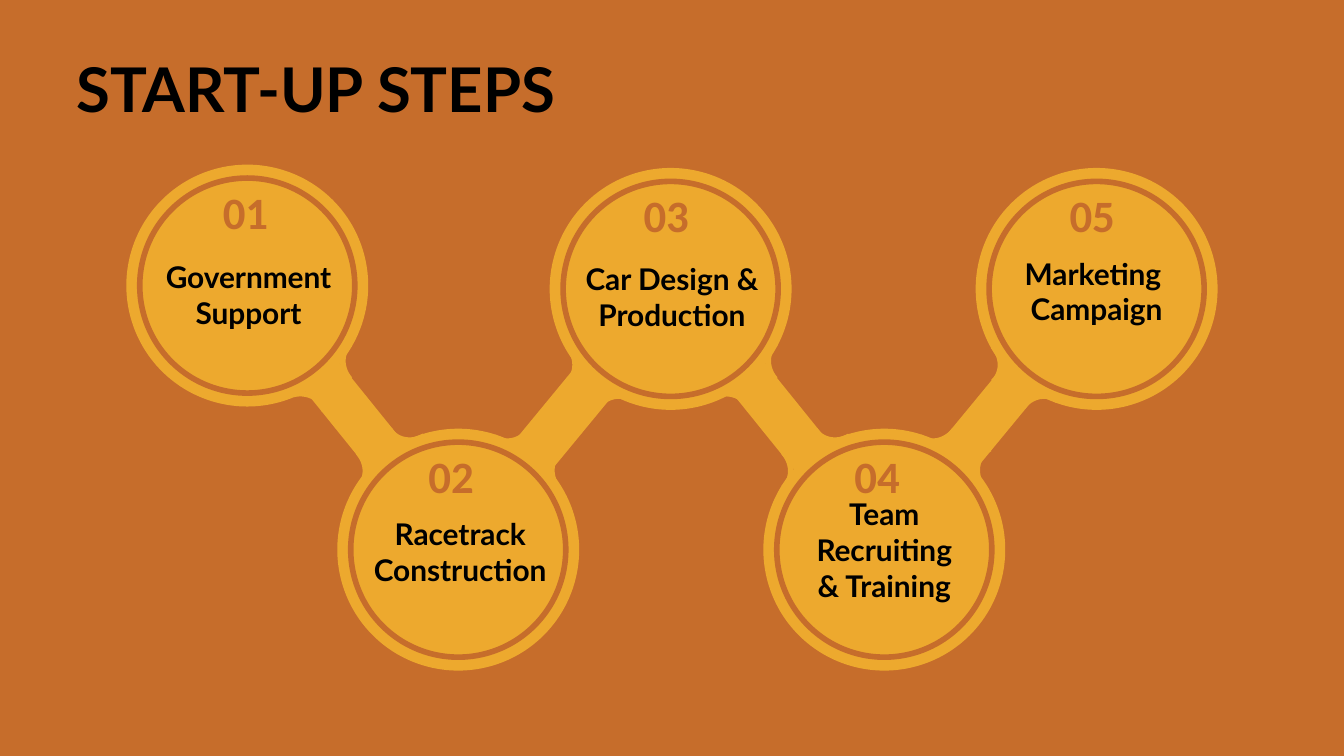
from pptx import Presentation
from pptx.dml.color import RGBColor
from pptx.enum.shapes import MSO_SHAPE as Shape
from pptx.enum.text import MSO_ANCHOR as Anchor, PP_ALIGN as Align
from pptx.util import Inches, Pt

RUST = RGBColor(0xC6, 0x6D, 0x2B)
GOLD = RGBColor(0xED, 0xA9, 0x2E)
BLACK = RGBColor(0, 0, 0)

# A 16:9 slide
presentation = Presentation()
presentation.slide_width = Inches(10)
presentation.slide_height = presentation.slide_width * 9 // 16
slide = presentation.slides.add_slide(presentation.slide_layouts[6])
slide.background.fill.solid()
slide.background.fill.fore_color.rgb = RUST

# Grid: 100 square cells across the slide
CELL = presentation.slide_width / 100
LINK_STEP = 31.65
CIRCLE, RING, RING_GAP = 18, 16, 1


def add_part(kind, box, fill=None, line=None, width=3, rotation=0):
    shape = slide.shapes.add_shape(kind, *(round(n * CELL) for n in box))
    shape.shadow.inherit = False
    shape.rotation = rotation
    if fill is None:
        shape.fill.background()
    else:
        shape.fill.solid()
        shape.fill.fore_color.rgb = fill
    if line is None:
        shape.line.fill.background()
    else:
        shape.line.color.rgb = line
        shape.line.width = Pt(width)
    return shape


def write_text(text, box=None, shape=None, font="Lato", size=16, color=BLACK,
               align=Align.CENTER, anchor=Anchor.TOP, spacing=None):
    if shape is None:
        shape = slide.shapes.add_textbox(*(round(n * CELL) for n in box))
    frame = shape.text_frame
    frame.word_wrap = True
    frame.vertical_anchor = anchor
    frame.text = text
    for paragraph in frame.paragraphs:
        paragraph.alignment = align
        paragraph.line_spacing = spacing
        for run in paragraph.runs:
            run.font.name = font
            run.font.size = Pt(size)
            run.font.bold = True
            run.font.color.rgb = color


# Title
write_text("START-UP STEPS", (4.7, 1.4, 86.2, 10.9), size=33,
           align=Align.LEFT, anchor=Anchor.MIDDLE, spacing=0.9)

# Links between circles: bar left and angle, then left, top and angle of each rounded corner
down_link = (24.8, 321.1, [(20.3, 29.3, 345.9), (25.4, 25.3, 228.6),
                           (23.4, 33.1, 48.5), (28.7, 29.2, 149.1)])
up_link = (40.3, 219.5, [(40.9, 33.4, 244.3), (36, 29.2, 127),
                         (43.9, 29.6, 306.8), (39, 25.2, 47.5)])
for shift in (0, LINK_STEP):
    for bar_left, bar_angle, corners in (down_link, up_link):
        outlined = shift == 0 and bar_left == up_link[0]
        add_part(Shape.RECTANGLE, (bar_left + shift, 27.1, 3.3, 8), fill=GOLD,
                 line=GOLD if outlined else None, width=1.5, rotation=bar_angle)
        for left, top, angle in corners:
            add_part(Shape.ARC, (left + shift, top, 3.9, 3.5),
                     line=GOLD, rotation=angle)

# Steps: circle left and top, number indent, label, label box (None: inside the circle)
steps = [
    (9.4, 12.25, 6.2, "Government Support", (11.2, 18.75, 14.6, 11.4)),
    (25.1, 31.9, 5.8, "Racetrack Construction", (26.3, 37.9, 15.9, 6.4)),
    (40.9, 12.5, 6, "Car Design & Production", (42.3, 18.9, 15.4, 6.4)),
    (56.8, 31.9, 5.8, "Team Recruiting & Training", None),
    (72.6, 12.5, 6, "Marketing \nCampaign", (74.1, 18.5, 15, 6.4)),
]
for number, (left, top, indent, label, label_box) in enumerate(steps, start=1):
    circle = add_part(Shape.OVAL, (left, top, CIRCLE, CIRCLE), fill=GOLD)
    add_part(Shape.OVAL, (left + RING_GAP, top + RING_GAP, RING, RING),
             fill=GOLD if number % 2 else None, line=RUST)
    write_text(f"{number:02}", (left + indent, top + RING_GAP, 6, 5),
               font="Calibri", size=24, color=RUST, align=Align.LEFT)
    if label_box:
        write_text(label, label_box)
    else:
        write_text(label, shape=circle, anchor=Anchor.MIDDLE)

presentation.save("out.pptx")
